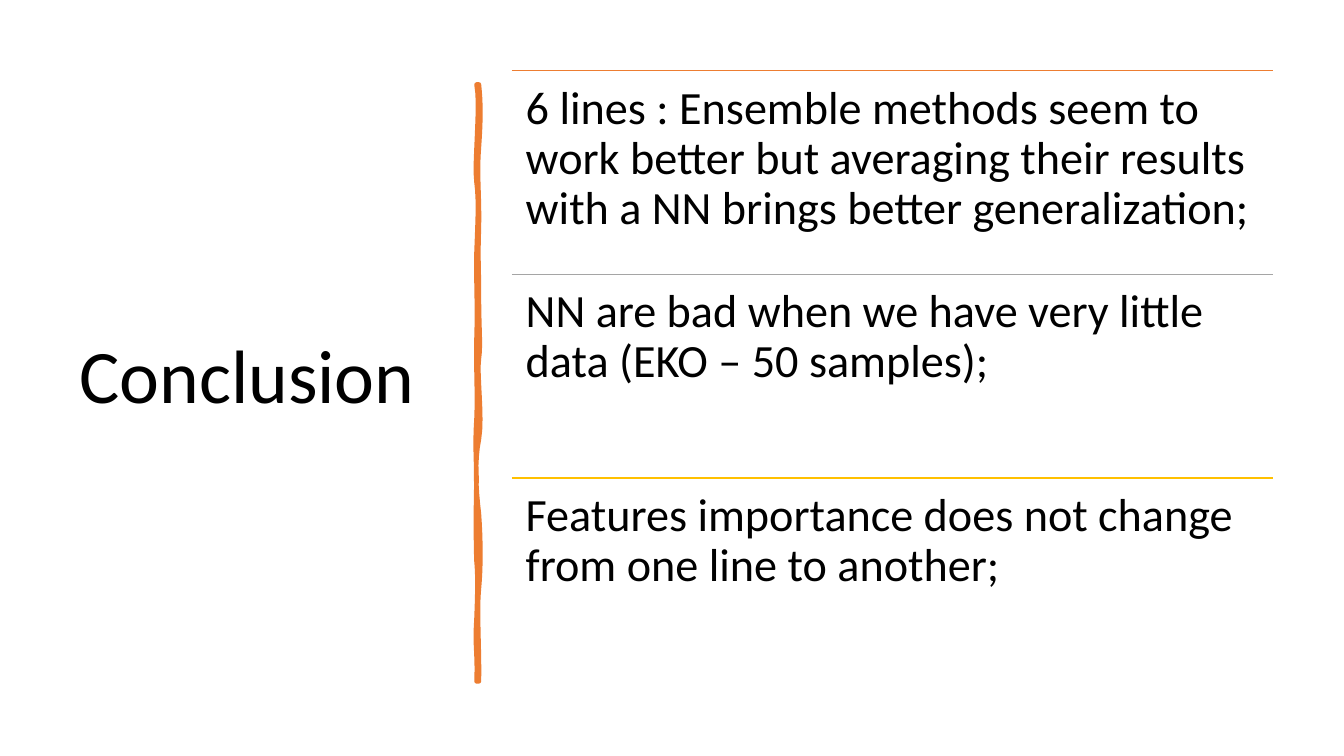
from lxml.etree import SubElement
from pptx import Presentation
from pptx.dml.color import RGBColor
from pptx.enum.shapes import MSO_CONNECTOR
from pptx.enum.text import MSO_ANCHOR, PP_ALIGN
from pptx.oxml.ns import qn
from pptx.util import Cm, Pt

BLACK = RGBColor(0x00, 0x00, 0x00)
ORANGE = RGBColor(0xED, 0x7D, 0x31)
GRAY = RGBColor(0xA5, 0xA5, 0xA5)
GOLD = RGBColor(0xFF, 0xC0, 0x00)

# Content
TITLE = "Conclusion"
FINDINGS = [
    ("6 lines : Ensemble methods seem to work better but averaging their "
     "results with a NN brings better generalization;", ORANGE),
    ("NN are bad when we have very little data (EKO – 50 samples);", GRAY),
    ("Features importance does not change from one line to another;", GOLD),
]

# Hand-drawn divider in cm: start, then curves (control, control, end)
RIGHT_START = (12.07, 2.13)
RIGHT_EDGE = [
    ((12.12, 2.59), (12.12, 3.02), (12.07, 3.71)),
    ((12.01, 4.39), (12.09, 4.95), (12.07, 5.74)),
    ((12.04, 6.53), (12.07, 6.65), (12.07, 7.47)),
    ((12.07, 8.26), (12.12, 8.69), (12.07, 9.04)),
    ((12.01, 9.40), (12.17, 10.52), (12.07, 11.07)),
    ((11.96, 11.61), (11.99, 12.29), (12.07, 12.95)),
    ((12.12, 13.61), (12.12, 14.33), (12.07, 14.83)),
    ((12.01, 15.32), (12.09, 16.51), (12.07, 17.17)),
]
LEFT_START = (12.01, 17.17)
LEFT_EDGE = [
    ((12.04, 16.41), (11.96, 16.36), (12.01, 15.57)),
    ((12.04, 14.81), (12.04, 14.48), (12.01, 14.15)),
    ((11.99, 13.82), (11.99, 12.57), (12.01, 12.12)),
    ((12.01, 11.66), (11.96, 11.30), (12.01, 10.54)),
    ((12.04, 9.80), (11.99, 9.47), (12.01, 8.51)),
    ((12.04, 7.57), (11.99, 7.14), (12.01, 6.35)),
    ((12.04, 5.54), (12.07, 5.08), (12.01, 4.60)),
    ((11.94, 4.14), (12.12, 2.64), (12.01, 2.13)),
]
CURVE_STEPS = 8

# Layout in cm
TOP = 1.78
LIST_LEFT, LIST_WIDTH, ROW_HEIGHT = 12.9, 19.18, 5.13


def add_text(slide, text, left, top, width, height, size,
             anchor=MSO_ANCHOR.TOP, inset_x=0.35, inset_y=0.35):
    s = slide.shapes.add_textbox(Cm(left), Cm(top), Cm(width), Cm(height))
    tf = s.text_frame
    tf.word_wrap = True
    tf.vertical_anchor = anchor
    tf.margin_left = tf.margin_right = Cm(inset_x)
    tf.margin_top = tf.margin_bottom = Cm(inset_y)
    p = tf.paragraphs[0]
    p.alignment = PP_ALIGN.LEFT
    p.line_spacing = 0.9
    r = p.add_run()
    r.text = text
    r.font.name = "Calibri"
    r.font.size = Pt(size)
    r.font.color.rgb = BLACK


def add_rule(slide, top, color):
    s = slide.shapes.add_connector(
        MSO_CONNECTOR.STRAIGHT, Cm(LIST_LEFT), Cm(top),
        Cm(LIST_LEFT + LIST_WIDTH), Cm(top))
    s.line.color.rgb = color
    s.line.width = Pt(1)
    SubElement(s._element.spPr, qn("a:effectLst"))


def sample_edge(start, curves):
    points = [start]
    for c1, c2, end in curves:
        begin = points[-1]
        for step in range(1, CURVE_STEPS + 1):
            t = step / CURVE_STEPS
            u = 1 - t
            points.append(tuple(
                u**3 * a + 3 * u * u * t * b + 3 * u * t * t * c + t**3 * d
                for a, b, c, d in zip(begin, c1, c2, end)))
    return points


def add_divider(slide):
    points = [(Cm(x), Cm(y)) for x, y in
              sample_edge(RIGHT_START, RIGHT_EDGE)
              + sample_edge(LEFT_START, LEFT_EDGE)]
    builder = slide.shapes.build_freeform(*points[0])
    builder.add_line_segments(points[1:], close=True)
    s = builder.convert_to_shape()
    s.shadow.inherit = False
    s.fill.solid()
    s.fill.fore_color.rgb = ORANGE
    s.line.color.rgb = ORANGE
    s.line.width = Pt(3.25)
    SubElement(s.line._get_or_add_ln(), qn("a:round"))


def main():
    prs = Presentation()
    prs.slide_width, prs.slide_height = Cm(33.87), Cm(19.05)
    slide = prs.slides.add_slide(prs.slide_layouts[6])

    # Title and divider
    add_text(slide, TITLE, 1.75, TOP, 9.5, 15.52, 54,
             anchor=MSO_ANCHOR.MIDDLE, inset_x=0.25, inset_y=0.13)
    add_divider(slide)

    # Findings, each under its own rule
    for i, (text, color) in enumerate(FINDINGS):
        top = TOP + i * ROW_HEIGHT
        add_rule(slide, top, color)
        add_text(slide, text, LIST_LEFT, top, LIST_WIDTH, ROW_HEIGHT, 33)

    prs.save("out.pptx")


if __name__ == "__main__":
    main()
